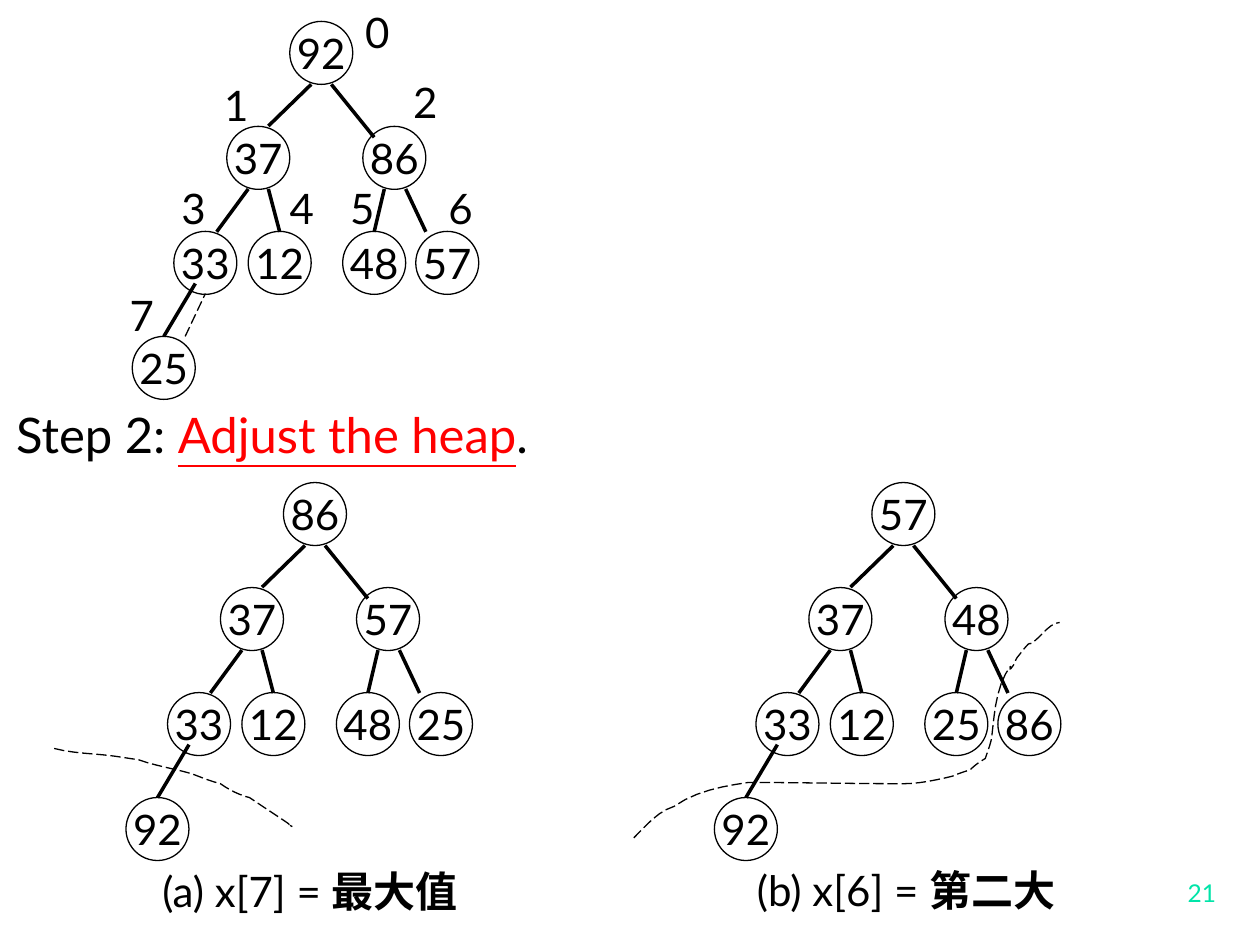
from lxml import etree
from pptx import Presentation
from pptx.dml.color import RGBColor
from pptx.enum import dml, shapes, text
from pptx.oxml.ns import qn
from pptx.util import Inches, Pt

BLACK = RGBColor(0x00, 0x00, 0x00)
RED = RGBColor(0xFF, 0x00, 0x00)
GREEN = RGBColor(0x00, 0xE4, 0xA8)
FONT = "Lato"
DIAMETER = 0.5
LEVEL = 2.5 / 3

NODES = [(1.25, 0), (0.75, 1), (1.83, 1), (0.33, 2), (0.92, 2), (1.67, 2), (2.25, 2), (0, 3)]
EDGES = [
    ((1.42, 0.5), (1.08, 0.83)),
    ((1.58, 0.5), (1.92, 0.92)),
    ((0.92, 1.33), (0.67, 1.67)),
    ((1.08, 1.33), (1.17, 1.67)),
    ((2, 1.33), (1.92, 1.67)),
    ((2.17, 1.33), (2.33, 1.67)),
    ((0.25, 2.5), (0.5, 2.08)),
]
INDEX_POSITIONS = [(1.75, -0.17), (0.63, 0.41), (2.13, 0.39), (0.29, 1.23),
                   (1.15, 1.23), (1.63, 1.23), (2.41, 1.23), (-0.12, 2.08)]

LARGEST_CUT = [
    (-0.57, 2.11), (-0.42, 2.15), (-0.25, 2.15), (-0.1, 2.17),
    (-0.03, 2.18), (0.1, 2.2), (0.1, 2.2), (0.24, 2.25), (0.38, 2.27), (0.52, 2.31),
    (0.6, 2.34), (0.67, 2.37), (0.75, 2.39), (0.82, 2.44), (0.9, 2.48), (0.98, 2.5),
    (1.07, 2.56), (1.16, 2.62), (1.25, 2.68), (1.36, 2.75), (1.22, 2.68), (1.32, 2.73),
]
SECOND_CUT = [
    (-0.64, 2.82), (-0.54, 2.72), (-0.45, 2.61), (-0.32, 2.57),
    (-0.15, 2.45), (0.06, 2.41), (0.27, 2.38), (0.68, 2.38), (1.09, 2.39), (1.51, 2.39),
    (1.62, 2.39), (1.77, 2.36), (1.89, 2.33), (1.93, 2.31), (2.03, 2.28), (2.03, 2.28),
    (2.07, 2.24), (2.1, 2.22), (2.15, 2.19), (2.17, 2.13), (2.19, 2.08), (2.2, 2.03),
    (2.22, 1.86), (2.23, 1.67), (2.31, 1.52), (2.4, 1.37), (2.3, 1.56), (2.38, 1.44),
    (2.39, 1.42), (2.39, 1.4), (2.41, 1.38), (2.55, 1.2), (2.46, 1.33), (2.55, 1.25),
    (2.6, 1.21), (2.67, 1.11), (2.74, 1.11),
]


def set_font(font, size, color=BLACK):
    """Apply the slide's typeface with a size and colour."""
    font.name = FONT
    font.size = Pt(size)
    font.color.rgb = color


def add_text(slide, left, top, width, height, runs, size=24):
    """Add a one-line text box and return its runs."""
    box = slide.shapes.add_textbox(Inches(left), Inches(top), Inches(width), Inches(height))
    frame = box.text_frame
    frame.word_wrap = False
    frame.auto_size = text.MSO_AUTO_SIZE.SHAPE_TO_FIT_TEXT
    paragraph = frame.paragraphs[0]
    set_font(paragraph.font, size)
    added = []
    for content in runs:
        run = paragraph.add_run()
        run.text = content
        set_font(run.font, size)
        added.append(run)
    return added


def add_line(slide, start, end, weight=2.0, dashed=False):
    """Draw a straight line between two points."""
    line = slide.shapes.add_connector(
        shapes.MSO_CONNECTOR.STRAIGHT, *(Inches(value) for value in (*start, *end)))
    line.line.color.rgb = BLACK
    line.line.width = Pt(weight)
    if dashed:
        line.line.dash_style = dml.MSO_LINE.LONG_DASH
    etree.SubElement(line._element.spPr, qn("a:effectLst"))


def add_node(slide, left, top, value):
    """Draw one heap node as an outlined circle."""
    node = slide.shapes.add_shape(
        shapes.MSO_SHAPE.OVAL, Inches(left), Inches(top), Inches(DIAMETER), Inches(DIAMETER))
    node.shadow.inherit = False
    node.fill.background()
    node.line.color.rgb = BLACK
    node.line.width = Pt(0.75)
    frame = node.text_frame
    frame.word_wrap = False
    frame.vertical_anchor = text.MSO_ANCHOR.MIDDLE
    paragraph = frame.paragraphs[0]
    paragraph.text = str(value)
    paragraph.alignment = text.PP_ALIGN.CENTER
    set_font(paragraph.font, 24)


def add_heap(slide, left, top, values):
    """Draw an eight-node heap from its top-left corner."""
    for (x, level), value in zip(NODES, values):
        add_node(slide, left + x, top + level * LEVEL, value)
    for (x1, y1), (x2, y2) in EDGES:
        add_line(slide, (left + x1, top + y1), (left + x2, top + y2))


def add_indexed_heap(slide, left, top, values):
    """Draw a heap with array indices and the dashed removed edge."""
    add_heap(slide, left, top, values)
    add_line(slide, (left + 0.42, top + 2.5), (left + 0.58, top + 2.16), 0.75, dashed=True)
    for index, (x, y) in enumerate(INDEX_POSITIONS):
        add_text(slide, left + x, top + y, 0.39, 0.5, [str(index)])


def curve_points(controls, steps=6):
    """Sample a chain of cubic curves into points."""
    points = [controls[0]]
    for first in range(0, len(controls) - 1, 3):
        segment = controls[first:first + 4]
        for step in range(1, steps + 1):
            t = step / steps
            weights = ((1 - t) ** 3, 3 * t * (1 - t) ** 2, 3 * t ** 2 * (1 - t), t ** 3)
            points.append(tuple(
                sum(weight * point[axis] for weight, point in zip(weights, segment))
                for axis in (0, 1)))
    return points


def add_cut(slide, left, top, controls):
    """Draw the dashed curve that separates the sorted nodes."""
    points = [(Inches(left + x), Inches(top + y)) for x, y in curve_points(controls)]
    builder = slide.shapes.build_freeform(*points[0])
    builder.add_line_segments(points[1:], close=False)
    cut = builder.convert_to_shape()
    cut.shadow.inherit = False
    cut.fill.background()
    cut.line.color.rgb = BLACK
    cut.line.width = Pt(0.75)
    cut.line.dash_style = dml.MSO_LINE.LONG_DASH


def add_sorted_heap(slide, left, top, values, controls, caption, caption_box):
    """Draw a heap with its separating curve and caption."""
    add_heap(slide, left, top, values)
    add_cut(slide, left, top, controls)
    x, y, width, height = caption_box
    runs = add_text(slide, left + x, top + y, width, height, caption)
    runs[-1].font.bold = True


def add_step(slide, left, top, width, height):
    """Write the step heading with its underlined action."""
    runs = add_text(slide, left, top, width, height, ["Step 2: ", "Adjust the heap", "."], 28)
    runs[1].font.color.rgb = RED
    runs[1].font.underline = True


def add_page_number(slide, left, top, width, height):
    """Write the page number at the lower right."""
    box = slide.shapes.add_textbox(Inches(left), Inches(top), Inches(width), Inches(height))
    frame = box.text_frame
    frame.word_wrap = True
    frame.vertical_anchor = text.MSO_ANCHOR.BOTTOM
    paragraph = frame.paragraphs[0]
    paragraph.text = "21"
    paragraph.alignment = text.PP_ALIGN.RIGHT
    set_font(paragraph.font, 14, GREEN)


def main():
    """Build and save the heap adjustment slide."""
    presentation = Presentation()
    presentation.slide_width = Inches(10)
    presentation.slide_height = Inches(7.5)
    slide = presentation.slides.add_slide(presentation.slide_layouts[6])
    add_indexed_heap(slide, 1.05, 0.17, [92, 37, 86, 33, 12, 48, 57, 25])
    add_step(slide, 0.03, 3.16, 4.51, 0.57)
    add_sorted_heap(slide, 1, 3.83, [86, 37, 57, 33, 12, 48, 25, 92], LARGEST_CUT,
                    ["(a) x[7] = ", "最大值"], (0.19, 2.99, 2.68, 0.5))
    add_sorted_heap(slide, 5.67, 3.83, [57, 37, 48, 33, 12, 25, 86, 92], SECOND_CUT,
                    ["(b) x[6] = ", "第二大"], (0.24, 2.98, 2.7, 0.5))
    add_page_number(slide, 7.67, 6.75, 2.08, 0.5)
    presentation.save("out.pptx")


if __name__ == "__main__":
    main()
